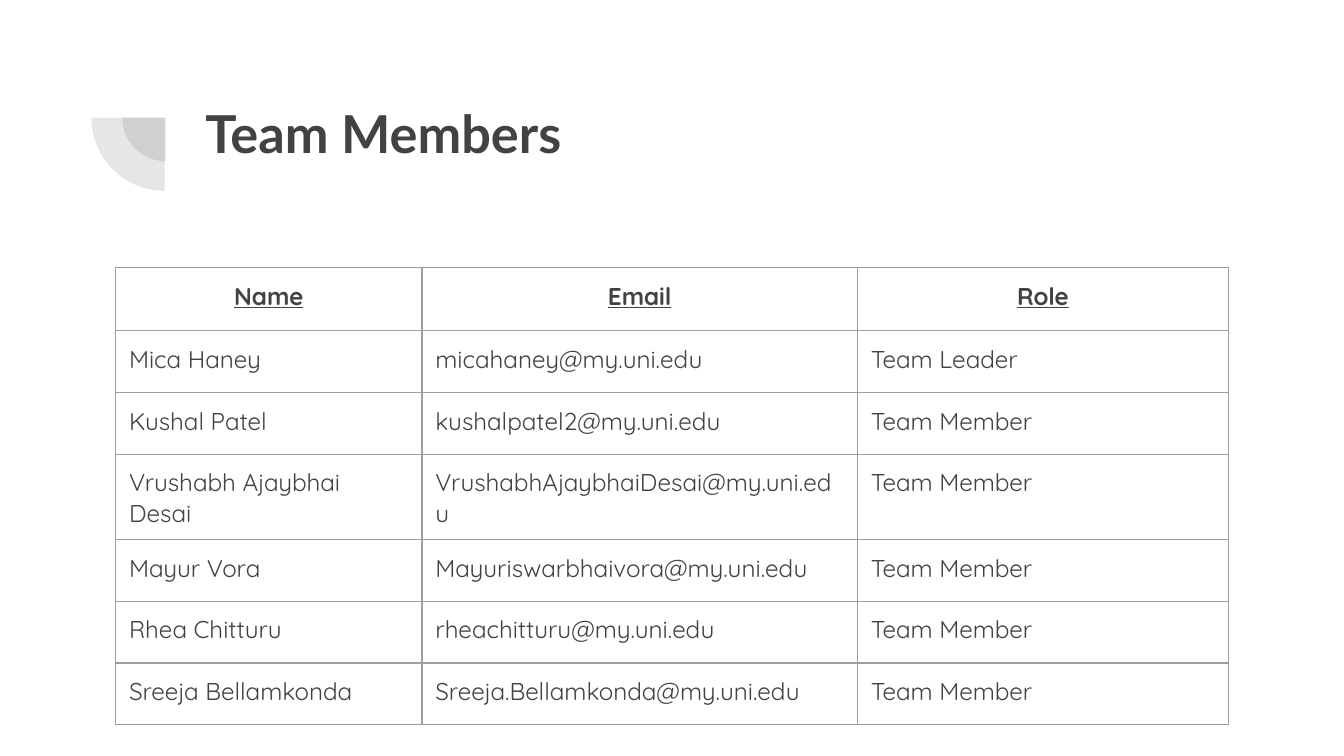
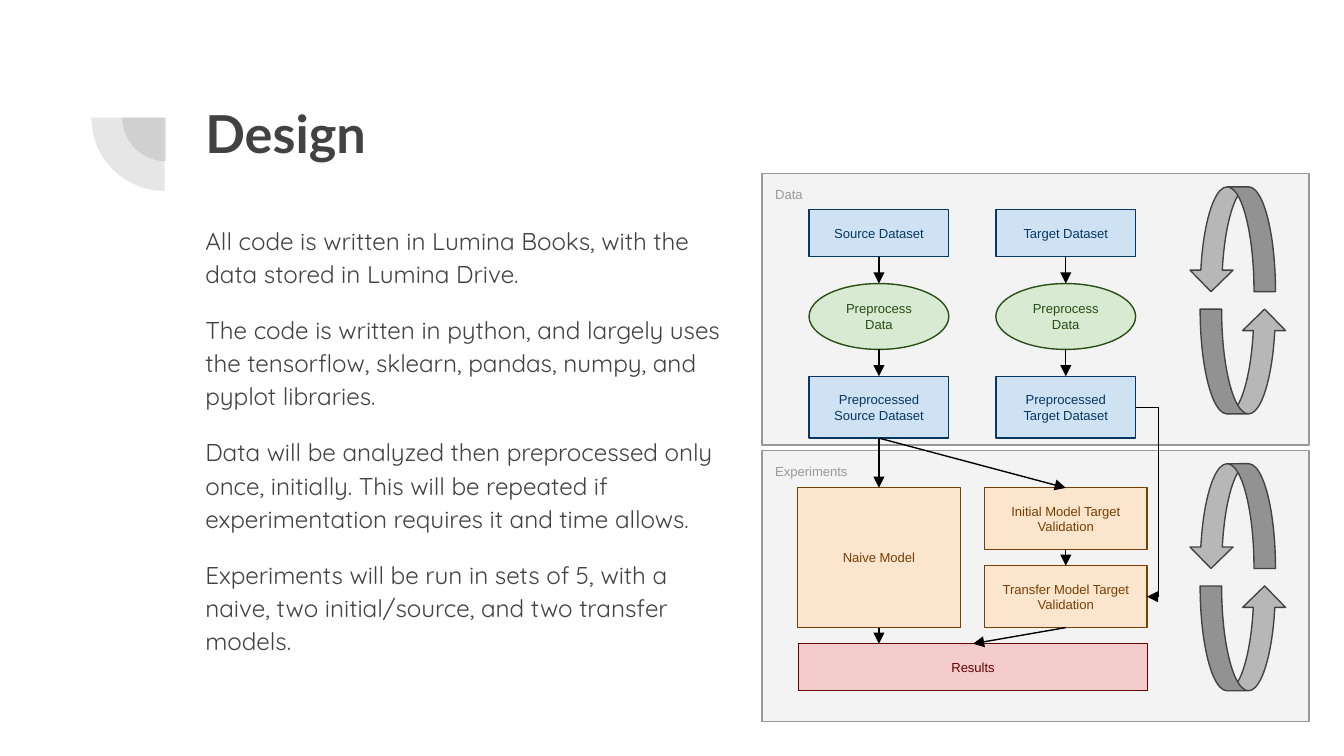
"""Build a two-slide project deck: a team table and a design flowchart."""
import dataclasses

import pptx
import pptx.dml.color
import pptx.enum.shapes
import pptx.enum.text
import pptx.oxml
import pptx.oxml.ns
import pptx.util

Inches = pptx.util.Inches
Pt = pptx.util.Pt
Kind = pptx.enum.shapes.MSO_SHAPE
Align = pptx.enum.text.PP_ALIGN
Anchor = pptx.enum.text.MSO_ANCHOR
NAMESPACE = pptx.oxml.ns.nsdecls("a")


@dataclasses.dataclass(frozen=True)
class Theme:
    ink: str = "424242"
    grid: str = "9E9E9E"
    edge: str = "000000"
    panel: tuple = ("F3F3F3", "999999")
    cycle: tuple = ("B7B7B7", "434343")
    data: tuple = ("CFE2F3", "073763")
    step: tuple = ("D9EAD3", "274E13")
    model: tuple = ("FCE5CD", "783F04")
    result: tuple = ("F4CCCC", "660000")
    title_font: str = "Lato"
    body_font: str = "Quicksand"
    chart_font: str = "Arial"
    title_size: int = 28
    body_size: int = 13
    chart_size: int = 7
    stroke: float = 0.75
    inset: float = 0.1
    badge_alpha: int = 13


THEME = Theme()
PAGE_WIDTH = Inches(10)
PAGE_HEIGHT = PAGE_WIDTH * 9 // 16

MEMBER_HEADER = ("Name", "Email", "Role")
MEMBERS = [
    ("Mica Haney", "micahaney@my.uni.edu", "Team Leader"),
    ("Kushal Patel", "kushalpatel2@my.uni.edu", "Team Member"),
    ("Vrushabh Ajaybhai Desai", "VrushabhAjaybhaiDesai@my.uni.edu", "Team Member"),
    ("Mayur Vora", "Mayuriswarbhaivora@my.uni.edu", "Team Member"),
    ("Rhea Chitturu", "rheachitturu@my.uni.edu", "Team Member"),
    ("Sreeja Bellamkonda", "Sreeja.Bellamkonda@my.uni.edu", "Team Member"),
]
COLUMN_WIDTHS = (2.28, 3.24, 2.76)
HEADER_HEIGHT, ROW_HEIGHT = 0.47, 0.46

DESIGN_NOTES = [
    "All code is written in Lumina Books, with the data stored in Lumina Drive.",
    "The code is written in python, and largely uses the tensorflow, sklearn, "
    "pandas, numpy, and pyplot libraries.",
    "Data will be analyzed then preprocessed only once, initially. This will be "
    "repeated if experimentation requires it and time allows.",
    "Experiments will be run in sets of 5, with a naive, two initial/source, and "
    "two transfer models.",
]

PANELS = [("Data", 1.29), ("Experiments", 3.35)]
PANEL_LEFT, PANEL_WIDTH, PANEL_HEIGHT = 5.67, 4.07, 2.02
CYCLE_ARROWS = [(8.93, 1.01, 0), (8.85, 0.1, 180)]
CYCLE_SIZE = (0.64, 0.78)

SOURCE_X, TARGET_X = 6.54, 7.93
DATA_WIDTH, MODEL_WIDTH = 1.04, 1.21
RESULT_X, RESULT_WIDTH = 7.24, 2.6
DETOUR_X = 8.62
PIPELINES = [("source", "Source", SOURCE_X), ("target", "Target", TARGET_X)]
MODEL_NODES = [
    ("initial", "Initial Model Target Validation", TARGET_X, 3.63, MODEL_WIDTH, 0.46, THEME.model),
    ("naive", "Naive Model", SOURCE_X, 3.63, MODEL_WIDTH, 1.04, THEME.model),
    ("transfer", "Transfer Model Target Validation", TARGET_X, 4.21, MODEL_WIDTH, 0.46, THEME.model),
    ("results", "Results", RESULT_X, 4.79, RESULT_WIDTH, 0.35, THEME.result),
]
FLOWS = [
    ("source raw", "source step", SOURCE_X),
    ("source step", "source ready", SOURCE_X),
    ("target raw", "target step", TARGET_X),
    ("target step", "target ready", TARGET_X),
    ("source ready", "naive", SOURCE_X),
    ("source ready", "initial", TARGET_X),
    ("initial", "transfer", TARGET_X),
    ("naive", "results", SOURCE_X),
    ("transfer", "results", RESULT_X),
]


def color(value):
    return pptx.dml.color.RGBColor.from_string(value)


def set_insets(holder):
    for side in ("left", "right", "top", "bottom"):
        setattr(holder, f"margin_{side}", Inches(THEME.inset))


def add_span(para, text, font, size, ink, bold=False, underline=False):
    span = para.add_run()
    span.text = text
    span.font.name = font
    span.font.size = Pt(size)
    span.font.bold = bold
    span.font.underline = underline
    span.font.color.rgb = color(ink)


def add_text_box(page, left, top, width, height):
    box = page.shapes.add_textbox(*map(Inches, (left, top, width, height)))
    box.text_frame.word_wrap = True
    set_insets(box.text_frame)
    return box.text_frame


def add_figure(page, kind, left, top, width, height, colors):
    fill, line = colors
    figure = page.shapes.add_shape(kind, *map(Inches, (left, top, width, height)))
    figure.shadow.inherit = False
    figure.fill.solid()
    figure.fill.fore_color.rgb = color(fill)
    if line:
        figure.line.color.rgb = color(line)
        figure.line.width = Pt(THEME.stroke)
    else:
        figure.line.fill.background()
    return figure


def add_label(figure, text, ink, align, anchor):
    frame = figure.text_frame
    frame.word_wrap = True
    frame.vertical_anchor = anchor
    set_insets(frame)
    para = frame.paragraphs[0]
    para.alignment = align
    add_span(para, text, THEME.chart_font, THEME.chart_size, ink)


def add_line(page, start, end, arrow=True):
    line = page.shapes.add_connector(
        pptx.enum.shapes.MSO_CONNECTOR.STRAIGHT, *map(Inches, (*start, *end)))
    line.line.color.rgb = color(THEME.edge)
    line.line.width = Pt(THEME.stroke)
    if arrow:
        line.line._get_or_add_ln().append(
            pptx.oxml.parse_xml(f'<a:tailEnd {NAMESPACE} type="triangle"/>'))
    line._element.spPr.append(pptx.oxml.parse_xml(f"<a:effectLst {NAMESPACE}/>"))


def add_page(deck, title):
    page = deck.slides.add_slide(deck.slide_layouts[6])
    for left, top, size in ((0.91, 0.55, 0.65), (0.68, 0.33, 1.09)):
        badge = add_figure(page, Kind.PIE, left, top, size, size, (THEME.ink, None))
        badge.rotation = 270
        badge.adjustments[0] = 108
        badge.adjustments[1] = 162
        tint = badge._element.spPr.find(".//" + pptx.oxml.ns.qn("a:srgbClr"))
        tint.append(pptx.oxml.parse_xml(
            f'<a:alpha {NAMESPACE} val="{THEME.badge_alpha * 1000}"/>'))
    frame = add_text_box(page, 1.43, 0.65, 7.69, 0.89)
    add_span(frame.paragraphs[0], title, THEME.title_font, THEME.title_size, THEME.ink, bold=True)
    return page


def style_cell(cell, text, heading):
    set_insets(cell)
    properties = cell._tc.get_or_add_tcPr()
    for side in "LRTB":
        properties.append(pptx.oxml.parse_xml(
            f'<a:ln{side} {NAMESPACE} w="{Pt(THEME.stroke)}"><a:solidFill>'
            f'<a:srgbClr val="{THEME.grid}"/></a:solidFill></a:ln{side}>'))
    cell.fill.background()
    para = cell.text_frame.paragraphs[0]
    para.alignment = Align.CENTER if heading else Align.LEFT
    add_span(para, text, THEME.body_font, THEME.body_size, THEME.ink, heading, heading)


def add_team_page(deck):
    page = add_page(deck, "Team Members")
    rows = [MEMBER_HEADER, *MEMBERS]
    height = HEADER_HEIGHT + ROW_HEIGHT * len(MEMBERS)
    table = page.shapes.add_table(
        len(rows), len(COLUMN_WIDTHS),
        *map(Inches, (0.86, 1.99, sum(COLUMN_WIDTHS), height))).table
    table.first_row = table.horz_banding = False
    for column, width in zip(table.columns, COLUMN_WIDTHS):
        column.width = Inches(width)
    for index, values in enumerate(rows):
        table.rows[index].height = Inches(ROW_HEIGHT if index else HEADER_HEIGHT)
        for position, text in enumerate(values):
            style_cell(table.cell(index, position), text, index == 0)


def add_notes(page):
    frame = add_text_box(page, 1.43, 1.55, 4.07, 3.68)
    frame.auto_size = pptx.enum.text.MSO_AUTO_SIZE.TEXT_TO_FIT_SHAPE
    for index, text in enumerate(DESIGN_NOTES):
        para = frame.add_paragraph() if index else frame.paragraphs[0]
        para.line_spacing = 1.15
        para.space_before = Pt(12 if index else 0)
        para.space_after = Pt(12 if index == len(DESIGN_NOTES) - 1 else 0)
        add_span(para, text, THEME.body_font, THEME.body_size, THEME.ink)


def add_panels(page):
    for name, top in PANELS:
        panel = add_figure(page, Kind.RECTANGLE, PANEL_LEFT, top, PANEL_WIDTH, PANEL_HEIGHT, THEME.panel)
        add_label(panel, name, THEME.panel[1], Align.LEFT, Anchor.TOP)
        for left, offset, turn in CYCLE_ARROWS:
            arrow = add_figure(page, Kind.CURVED_UP_ARROW, left, top + offset, *CYCLE_SIZE, THEME.cycle)
            arrow.rotation = turn


def flow_nodes():
    nodes = []
    for key, name, center in PIPELINES:
        nodes += [
            (f"{key} raw", f"{name} Dataset", center, 1.56, DATA_WIDTH, 0.35, THEME.data),
            (f"{key} step", "Preprocess Data", center, 2.11, DATA_WIDTH, 0.49, THEME.step),
            (f"{key} ready", f"Preprocessed {name} Dataset", center, 2.8, DATA_WIDTH, 0.46, THEME.data),
        ]
    return nodes + MODEL_NODES


def add_flowchart(page):
    places = {}
    for key, text, center, top, width, height, colors in flow_nodes():
        kind = Kind.OVAL if colors == THEME.step else Kind.RECTANGLE
        node = add_figure(page, kind, center - width / 2, top, width, height, colors)
        add_label(node, text, colors[1], Align.CENTER, Anchor.MIDDLE)
        places[key] = (center, top, width, height)
    for start, end, end_x in FLOWS:
        center, top, width, height = places[start]
        add_line(page, (center, top + height), (end_x, places[end][1]))
    (start_x, start_y), (end_x, end_y) = (
        (center + width / 2, top + height / 2)
        for center, top, width, height in (places["target ready"], places["transfer"]))
    detour = [(start_x, start_y), (DETOUR_X, start_y), (DETOUR_X, end_y), (end_x, end_y)]
    for index, (start, end) in enumerate(zip(detour, detour[1:])):
        add_line(page, start, end, arrow=index == len(detour) - 2)


def add_design_page(deck):
    page = add_page(deck, "Design")
    add_notes(page)
    add_panels(page)
    add_flowchart(page)


def main():
    deck = pptx.Presentation()
    deck.slide_width, deck.slide_height = PAGE_WIDTH, PAGE_HEIGHT
    add_team_page(deck)
    add_design_page(deck)
    deck.save("out.pptx")


if __name__ == "__main__":
    main()
